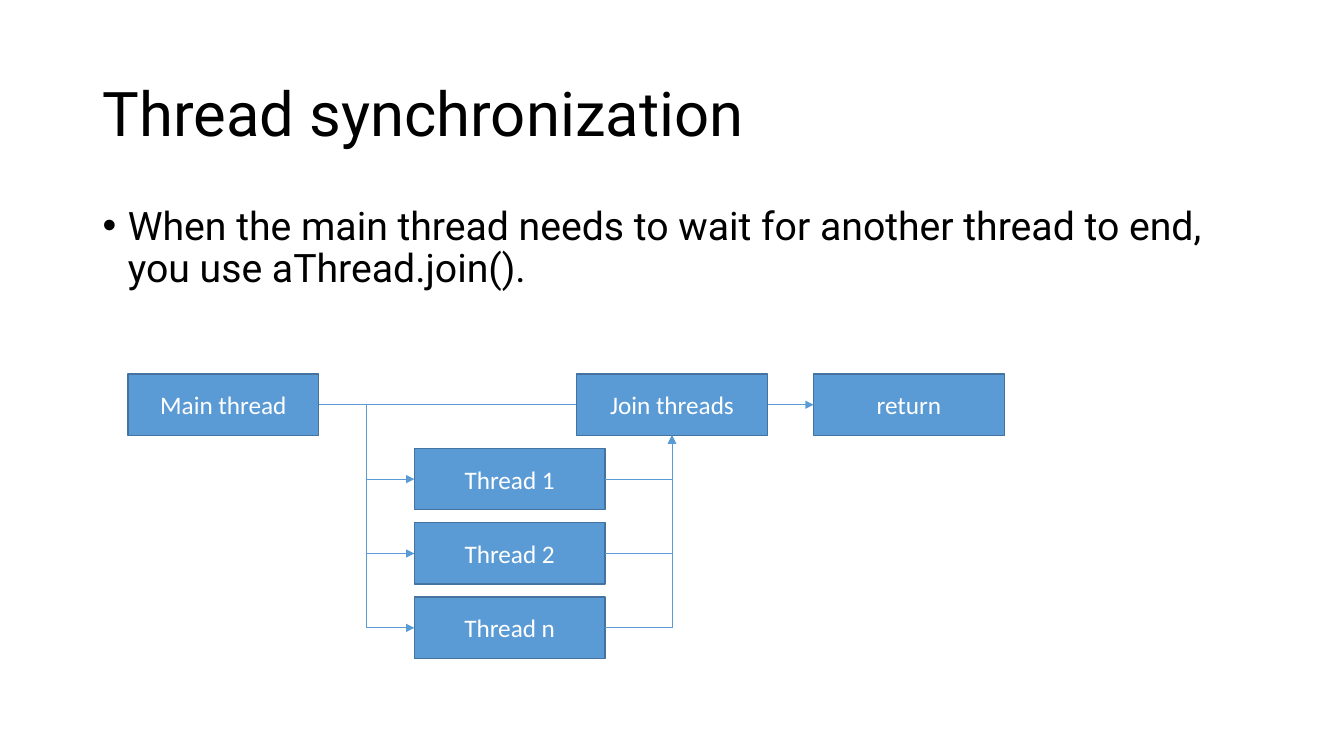
from lxml.etree import SubElement
from pptx import Presentation
from pptx.dml.color import RGBColor
from pptx.enum.shapes import MSO_CONNECTOR as Link, MSO_SHAPE as Shape
from pptx.enum.text import MSO_ANCHOR as Anchor, PP_ALIGN as Align
from pptx.oxml.ns import qn
from pptx.util import Inches, Pt

COLORS = {"text": "000000", "box": "5B9BD5", "edge": "43739E", "label": "FFFFFF"}
TITLE_FONT, BOX_FONT = "Roboto", "Calibri"
MARGIN, TEXT_W = 0.92, 11.5
COLUMNS = {"main": 1.27, "threads": 4.11, "join": 5.72, "return": 8.07}
TOP, ROW_STEP = 3.71, 0.738
BOX_W, BOX_H = 1.89, 0.61
SITE_TOP, SITE_LEFT, SITE_BOTTOM, SITE_RIGHT = range(4)


def color(name):
    return RGBColor.from_string(COLORS[name])


def add_run(p, text, font, size, color_name):
    r = p.add_run()
    r.text = text
    r.font.name = font
    r.font.size = Pt(size)
    r.font.color.rgb = color(color_name)


def add_text(s, text, top, height, size, anchor):
    """Add a full-width text block and return its paragraph."""
    box = s.shapes.add_textbox(Inches(MARGIN), Inches(top), Inches(TEXT_W), Inches(height))
    tf = box.text_frame
    tf.word_wrap = True
    tf.vertical_anchor = anchor
    p = tf.paragraphs[0]
    p.line_spacing = 0.9
    add_run(p, text, TITLE_FONT, size, "text")
    return p


def add_bullet(p, indent):
    pPr = p._p.get_or_add_pPr()
    pPr.set("marL", str(Inches(indent)))
    pPr.set("indent", str(-Inches(indent)))
    SubElement(pPr, qn("a:buFont")).set("typeface", "Arial")
    SubElement(pPr, qn("a:buChar")).set("char", "•")


def add_box(s, text, column, row=0):
    sp = s.shapes.add_shape(Shape.RECTANGLE, Inches(COLUMNS[column]),
                            Inches(TOP + row * ROW_STEP), Inches(BOX_W), Inches(BOX_H))
    sp.shadow.inherit = False
    sp.fill.solid()
    sp.fill.fore_color.rgb = color("box")
    sp.line.color.rgb = color("edge")
    sp.line.width = Pt(1)
    tf = sp.text_frame
    tf.vertical_anchor = Anchor.MIDDLE
    p = tf.paragraphs[0]
    p.alignment = Align.CENTER
    add_run(p, text, BOX_FONT, 18, "label")
    return sp


def add_arrow(s, begin, end, end_site=SITE_LEFT, kind=Link.ELBOW):
    """Join the right side of one box to a side of another with an arrow."""
    arrow = s.shapes.add_connector(kind, 0, 0, 0, 0)
    arrow.begin_connect(begin, SITE_RIGHT)
    arrow.end_connect(end, end_site)
    if end_site == SITE_BOTTOM:  # a single bend: right, then up
        arrow._element.spPr.find(qn("a:prstGeom")).set("prst", "bentConnector2")
    arrow.line.color.rgb = color("box")
    arrow.line.width = Pt(0.5)
    SubElement(arrow.line._get_or_add_ln(), qn("a:tailEnd")).set("type", "triangle")
    SubElement(arrow._element.spPr, qn("a:effectLst"))


def main():
    prs = Presentation()
    prs.slide_width, prs.slide_height = Inches(13.33), Inches(7.5)
    s = prs.slides.add_slide(prs.slide_layouts[6])

    add_text(s, "Thread synchronization", 0.43, 1.45, 44, Anchor.MIDDLE)
    p = add_text(s, "When the main thread needs to wait for another thread to end, "
                 "you use aThread.join().", 2, 4.76, 28, Anchor.TOP)
    p.space_before = Pt(10)
    add_bullet(p, 0.25)

    main_box = add_box(s, "Main thread", "main")
    threads = [add_box(s, f"Thread {name}", "threads", row)
               for row, name in enumerate("12n", start=1)]
    return_box = add_box(s, "return", "return")
    for thread in threads:
        add_arrow(s, main_box, thread)
    # The straight arrow runs behind the join box.
    add_arrow(s, main_box, return_box, kind=Link.STRAIGHT)
    join_box = add_box(s, "Join threads", "join")
    for thread in threads:
        add_arrow(s, thread, join_box, SITE_BOTTOM)

    prs.save("out.pptx")


if __name__ == "__main__":
    main()
